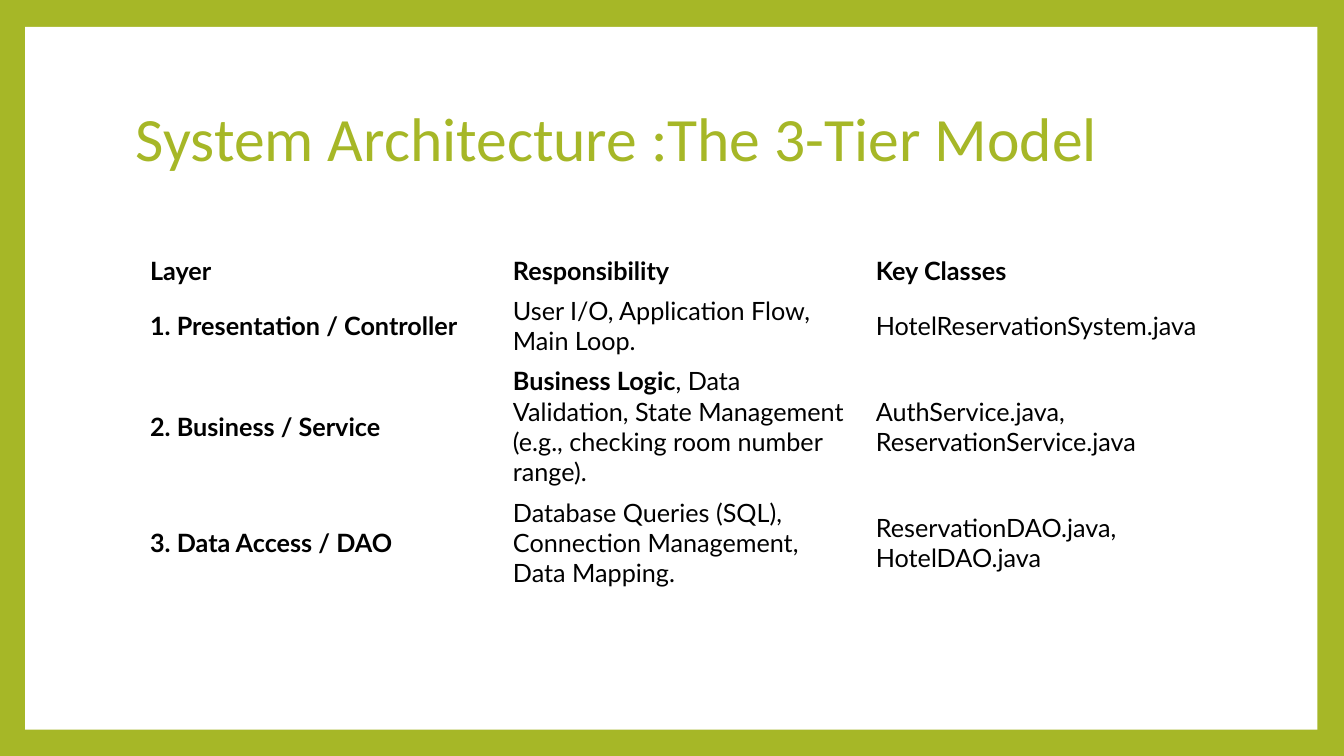
from pptx import Presentation
from pptx.dml.color import RGBColor as Rgb
from pptx.enum.shapes import MSO_SHAPE as Shape
from pptx.enum.text import MSO_ANCHOR as Anchor
from pptx.oxml import parse_xml
from pptx.util import Pt

TITLE = "System Architecture :The 3-Tier Model"
HEAD = ["Layer", "Responsibility", "Key Classes"]
TIERS = [
    ("1. Presentation / Controller", "", "User I/O, Application Flow, Main Loop.",
     "HotelReservationSystem.java"),
    ("2. Business / Service", "Business Logic",
     ", Data Validation, State Management (e.g., checking room number range).",
     "AuthService.java, ReservationService.java"),
    ("3. Data Access / DAO", "",
     "Database Queries (SQL), Connection Management, Data Mapping.",
     "ReservationDAO.java, HotelDAO.java"),
]
COLORS = {"lime": "A6B727", "white": "FFFFFF", "black": "000000"}
HEIGHTS = [28.8, 50.4, 72, 72]
COL = 259.2
NS = "http://schemas.openxmlformats.org/drawingml/2006/main"


def color(name):
    """Return the named colour."""
    return Rgb.from_string(COLORS[name])


def write(para, text, size=18, font="Lato", ink="black", bold=False):
    """Add one formatted run to a paragraph."""
    run = para.add_run()
    run.text = text
    run.font.size = Pt(size)
    run.font.name = font
    run.font.bold = bold
    run.font.color.rgb = color(ink)


def edge(cell):
    """Draw thin white borders round a cell with no fill."""
    cell.fill.background()
    props = cell._tc.get_or_add_tcPr()
    for spot, side in enumerate(("lnL", "lnR", "lnT", "lnB")):
        props.insert(spot, parse_xml(
            f'<a:{side} xmlns:a="{NS}" w="{Pt(0.6)}"><a:solidFill>'
            f'<a:srgbClr val="{COLORS["white"]}"/></a:solidFill></a:{side}>'))


def main():
    """Build the slide and save it."""
    deck = Presentation()
    deck.slide_width, deck.slide_height = Pt(960), Pt(540)
    slide = deck.slides.add_slide(deck.slide_layouts[6])
    back = slide.background.fill
    back.solid()
    back.fore_color.rgb = color("lime")

    panel = slide.shapes.add_shape(Shape.RECTANGLE, Pt(18), Pt(19.2), Pt(923), Pt(502))
    panel.shadow.inherit = False
    panel.fill.solid()
    panel.fill.fore_color.rgb = color("white")
    panel.line.fill.background()

    frame = slide.shapes.add_textbox(Pt(90), Pt(48), Pt(777.6), Pt(106.5)).text_frame
    frame.word_wrap = True
    frame.vertical_anchor = Anchor.MIDDLE
    frame.paragraphs[0].line_spacing = 0.9
    write(frame.paragraphs[0], TITLE, size=44, font="Calibri", ink="lime")

    rows = [[[(text, True)] for text in HEAD]]
    for layer, lead, duty, files in TIERS:
        rows.append([[(layer, True)], [(lead, True), (duty, False)], [(files, False)]])

    table = slide.shapes.add_table(len(rows), len(HEAD), Pt(100), Pt(178.6),
                                   Pt(COL * len(HEAD)), Pt(sum(HEIGHTS))).table
    table.first_row = table.horz_banding = False
    for col in table.columns:
        col.width = Pt(COL)
    for r, (row, high) in enumerate(zip(rows, HEIGHTS)):
        table.rows[r].height = Pt(high)
        for c, parts in enumerate(row):
            cell = table.cell(r, c)
            cell.vertical_anchor = Anchor.MIDDLE
            edge(cell)
            for text, bold in parts:
                if text:
                    write(cell.text_frame.paragraphs[0], text, bold=bold)

    deck.save("out.pptx")


if __name__ == "__main__":
    main()
